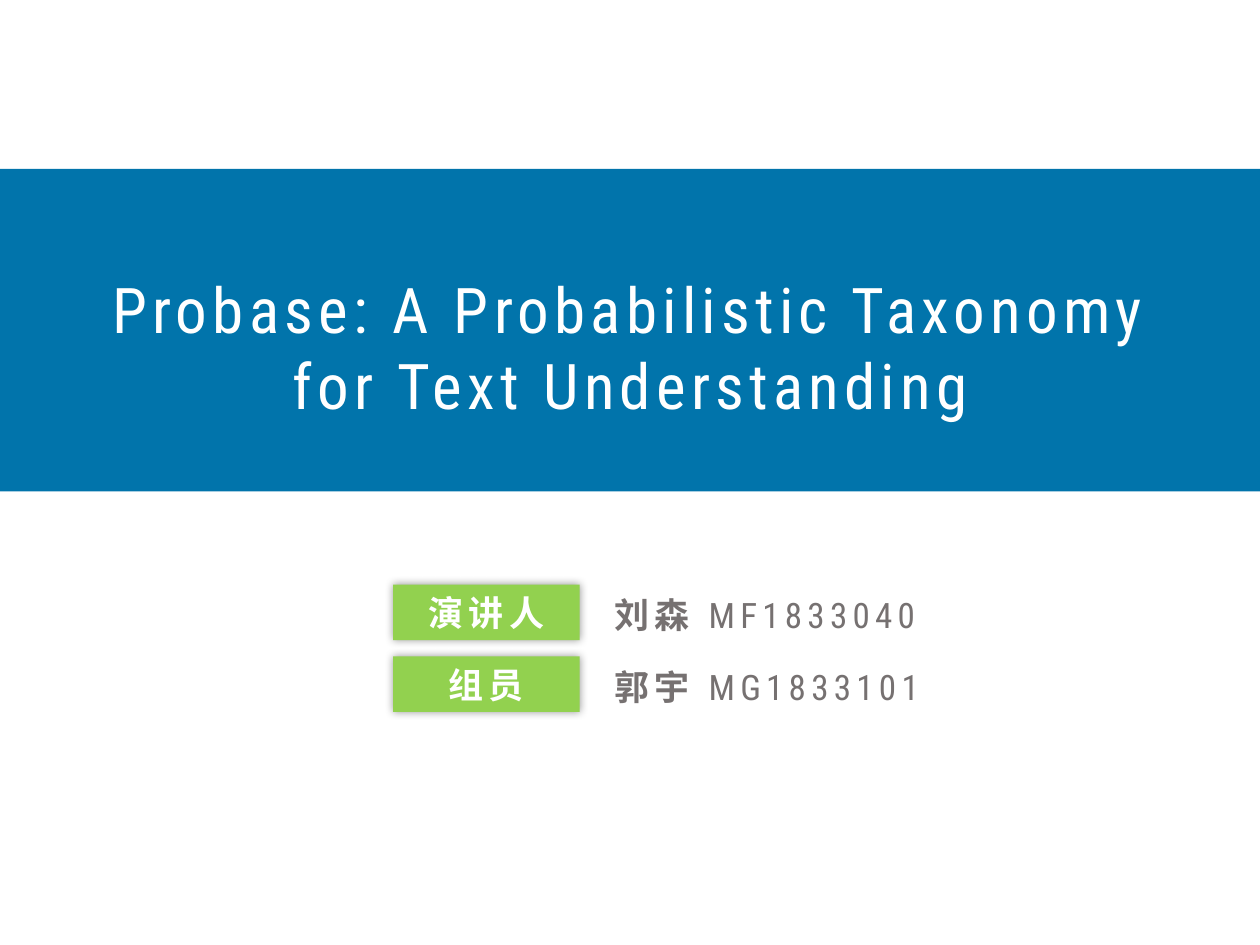
from dataclasses import dataclass

from lxml import etree
from pptx import Presentation
from pptx import util as u
from pptx.dml.color import RGBColor
from pptx.enum import shapes, text
from pptx.oxml import ns

SCALE = u.Inches(1) // 100


@dataclass(frozen=True)
class Theme:
    """Colours, fonts and type sizes of the slide."""
    band: str = "0174AB"
    badge: str = "92D14F"
    light: str = "FFFFFF"
    grey: str = "767171"
    shadow: str = "000000"
    latin: str = "Roboto Condensed"
    cjk: str = "Noto Sans CJK SC"
    title: int = 36
    body: int = 20
    spacing: int = 3


class Deck:
    """Holds the theme and current slide and draws each kind of element."""

    def __init__(self, prs, theme):
        """Add a blank slide to draw on."""
        self.theme = theme
        self.s = prs.slides.add_slide(prs.slide_layouts[6])

    def box(self, left, top, width, height):
        """Turn px lengths into EMU."""
        return [u.Emu(n * SCALE) for n in (left, top, width, height)]

    def face(self, font, props, name, bold):
        """Set the typeface for Latin and East Asian text."""
        font.name, font.bold = name, bold
        etree.SubElement(props, ns.qn("a:ea"), typeface=name)

    def style(self, p, size, color, align):
        """Set what all runs of a paragraph share and return its properties."""
        p.alignment = align
        p.font.size = u.Pt(size)
        p.font.color.rgb = RGBColor.from_string(color)
        props = p._p.get_or_add_pPr().get_or_add_defRPr()
        props.set("spc", str(self.theme.spacing * 100))
        for r in p.runs:
            r._r.get_or_add_rPr().set("spc", str(self.theme.spacing * 100))
        return props

    def rect(self, box, color):
        """Draw a plain filled rectangle."""
        sp = self.s.shapes.add_shape(shapes.MSO_SHAPE.RECTANGLE, *self.box(*box))
        sp.fill.solid()
        sp.fill.fore_color.rgb = RGBColor.from_string(color)
        sp.line.fill.background()
        sp.shadow.inherit = False
        return sp

    def badge(self, box, label):
        """Draw a label on a rectangle with a soft shadow."""
        t = self.theme
        sp = self.rect(box, t.badge)
        effects = sp._element.spPr.find(ns.qn("a:effectLst"))
        shadow = etree.SubElement(effects, ns.qn("a:outerShdw"), blurRad=str(u.Pt(5)),
                                  dist="0", dir="0", algn="ctr", rotWithShape="0")
        color = etree.SubElement(shadow, ns.qn("a:srgbClr"), val=t.shadow)
        etree.SubElement(color, ns.qn("a:alpha"), val="40000")
        tf = sp.text_frame
        tf.vertical_anchor = text.MSO_ANCHOR.MIDDLE
        p = tf.paragraphs[0]
        p.add_run().text = label
        props = self.style(p, t.body, t.light, text.PP_ALIGN.CENTER)
        self.face(p.font, props, t.cjk, True)

    def textbox(self, box):
        """Add a wrapping text box and return its paragraph."""
        tf = self.s.shapes.add_textbox(*self.box(*box)).text_frame
        tf.word_wrap = True
        tf.auto_size = text.MSO_AUTO_SIZE.SHAPE_TO_FIT_TEXT
        return tf.paragraphs[0]

    def title(self, box, words):
        """Write the centred title."""
        t = self.theme
        p = self.textbox(box)
        p.add_run().text = words
        props = self.style(p, t.title, t.light, text.PP_ALIGN.CENTER)
        self.face(p.font, props, t.latin, False)

    def person(self, box, name, number):
        """Write a bold name followed by a student number."""
        t = self.theme
        p = self.textbox(box)
        for words, font, bold in ((name + " ", t.cjk, True), (number, t.latin, False)):
            r = p.add_run()
            r.text = words
            self.face(r.font, r._r.get_or_add_rPr(), font, bold)
        self.style(p, t.body, t.grey, text.PP_ALIGN.LEFT)


def main():
    """Build and save the title slide."""
    prs = Presentation()
    prs.slide_width, prs.slide_height = u.Inches(10), u.Inches(7.5)
    theme = Theme()
    deck = Deck(prs, theme)
    deck.rect((0, 134, 1000, 256), theme.band)
    deck.title((44, 210, 913, 131),
               "Probase: A Probabilistic Taxonomy for Text Understanding")
    people = (("演讲人", "刘森", "MF1833040"), ("组员", "郭宇", "MG1833101"))
    for i, (role, name, number) in enumerate(people):
        top = 464 + 57 * i
        deck.badge((312, top, 148, 44), role)
        deck.person((478, top + 2, 351, 44), name, number)
    prs.save("out.pptx")


if __name__ == "__main__":
    main()
